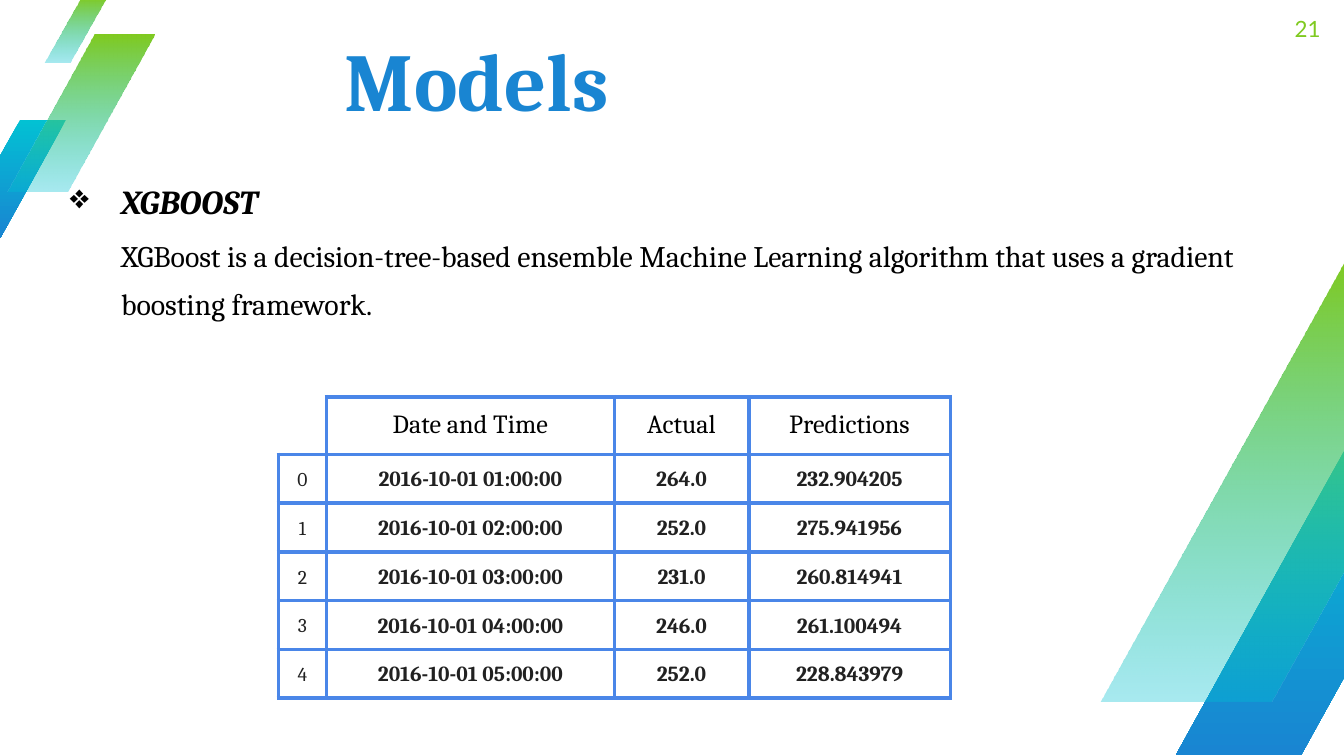
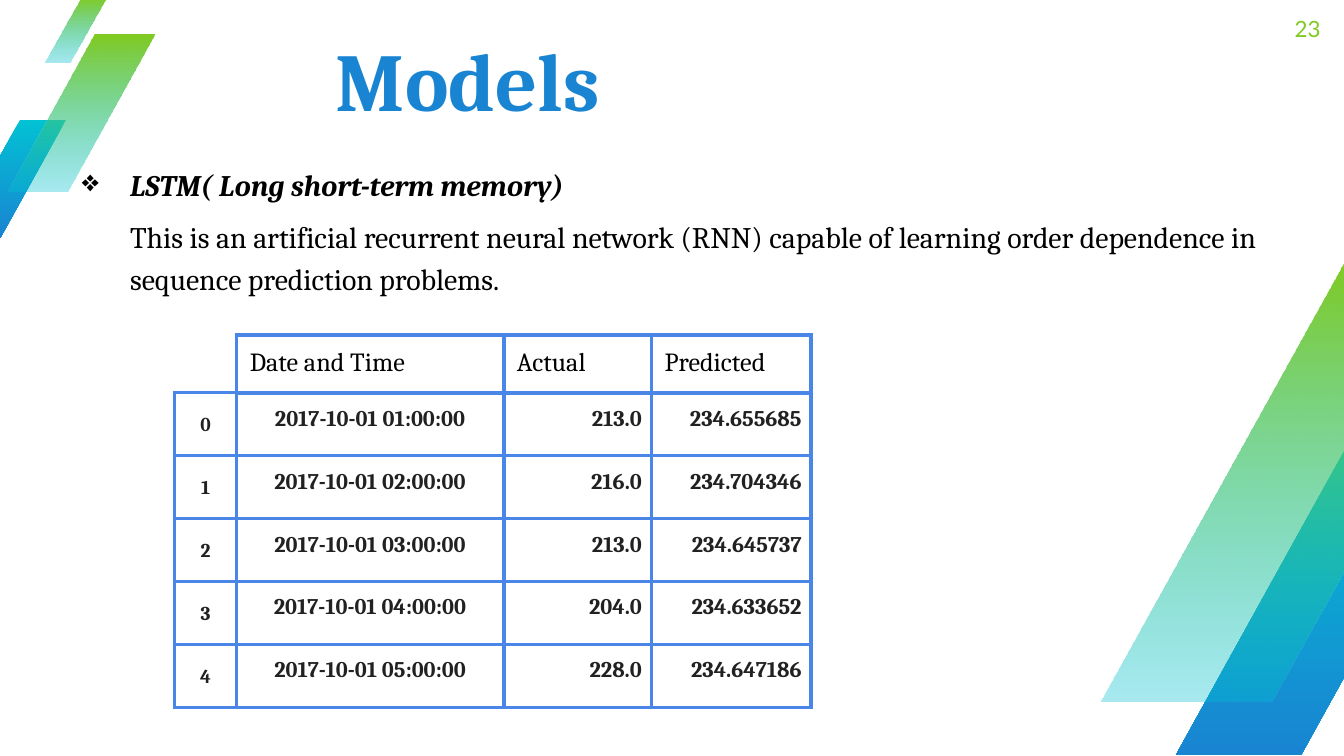
from lxml import etree
from pptx import Presentation
from pptx.dml.color import RGBColor
from pptx.enum.shapes import MSO_SHAPE
from pptx.enum.text import MSO_ANCHOR, PP_ALIGN
from pptx.oxml.ns import qn
from pptx.util import Cm, Pt

LEFT, CENTER, RIGHT = PP_ALIGN.LEFT, PP_ALIGN.CENTER, PP_ALIGN.RIGHT
TOP, MIDDLE = MSO_ANCHOR.TOP, MSO_ANCHOR.MIDDLE
PARALLELOGRAM = MSO_SHAPE.PARALLELOGRAM

TEAL = RGBColor(0x02, 0xC1, 0xD3)
BLUE = RGBColor(0x19, 0x85, 0xD2)
GREEN = RGBColor(0x7F, 0xCA, 0x20)
GRID_BLUE = RGBColor(0x4A, 0x86, 0xE8)
INK = RGBColor(0x21, 0x21, 0x21)
BLACK = RGBColor(0, 0, 0)
WHITE = RGBColor(0xFF, 0xFF, 0xFF)

SERIF, SANS = "Cambria", "Lato"

SLIDES = [
    {
        "title": "Models", "number": "21",
        "body_box": (1.02, 3.3, 24.21, 3.25), "hanging": 0.97,
        "heading": "XGBOOST", "heading_size": 18,
        "description": "XGBoost is a decision-tree-based ensemble Machine Learning "
                       "algorithm that uses a gradient boosting framework.",
        "closing_space": 19,
        "table": {
            "corner": (5.26, 8.59), "widths": (0.91, 5.44, 2.54, 3.81), "row_height": 0.79,
            "header": ("Date and Time", "Actual", "Predictions"), "header_align": CENTER,
            "number_align": CENTER, "size": 11.5, "bold_index": False,
            "rows": [
                ("2016-10-01 01:00:00", "264.0", "232.904205"),
                ("2016-10-01 02:00:00", "252.0", "275.941956"),
                ("2016-10-01 03:00:00", "231.0", "260.814941"),
                ("2016-10-01 04:00:00", "246.0", "261.100494"),
                ("2016-10-01 05:00:00", "252.0", "228.843979"),
            ],
        },
    },
    {
        "title": "Models ", "number": "23",
        "body_box": (1.19, 3.05, 23.9, 3.28), "hanging": 0.91,
        "heading": "LSTM( Long short-term memory)", "heading_size": 16,
        "description": "This is an artificial recurrent neural network (RNN) capable of "
                       "learning order dependence in sequence prediction problems.",
        "closing_space": None,
        "table": {
            "corner": (3.3, 7.42), "widths": (1.17, 5.05, 2.79, 3.02), "row_height": 1.19,
            "header": ("Date and Time", "Actual", "Predicted"), "header_align": LEFT,
            "number_align": RIGHT, "size": 12, "bold_index": True,
            "rows": [
                ("2017-10-01 01:00:00", "213.0", "234.655685"),
                ("2017-10-01 02:00:00", "216.0", "234.704346"),
                ("2017-10-01 03:00:00", "213.0", "234.645737"),
                ("2017-10-01 04:00:00", "204.0", "234.633652"),
                ("2017-10-01 05:00:00", "228.0", "234.647186"),
            ],
        },
    },
]

# Gradient start, gradient end, end opacity in percent
SOLID_BLUE = (TEAL, BLUE, 100)
FADING_GREEN = (GREEN, TEAL, 34)
BANDS = [
    ((-0.86, 2.26, 2.11, 2.24), SOLID_BLUE),
    ((0.15, 0.66, 2.77, 2.97), FADING_GREEN),
    ((0.84, -0.05, 1.17, 1.24), FADING_GREEN),
    ((22.22, 8.13, 5.77, 6.15), SOLID_BLUE),
    ((20.8, 4.88, 7.87, 8.38), FADING_GREEN),
]
BAND_SLANT = 0.59
TITLE_BOX = (3.3, 0.71, 11.43, 1.78)
NUMBER_BOX = (23.77, 0, 1.19, 1.09)
HEADER_HEIGHT = 1.09
BODY_INDENT = 1.27
LINE_SPACING = 1.15


def lengths(values):
    return [Cm(value) for value in values]


def add_run(paragraph, text, size, color, name=SERIF, **formats):
    run = paragraph.add_run()
    run.text = text
    run.font.color.rgb = color
    for attribute, value in {"size": Pt(size), "name": name, **formats}.items():
        setattr(run.font, attribute, value)


def set_margins(holder, margin):
    for side in ("left", "top", "right", "bottom"):
        setattr(holder, f"margin_{side}", Cm(margin))


def add_text_frame(slide, box, anchor):
    frame = slide.shapes.add_textbox(*lengths(box)).text_frame
    frame.word_wrap = True
    frame.vertical_anchor = anchor
    set_margins(frame, 0)
    return frame


def add_bands(slide):
    for box, (start, end, opacity) in BANDS:
        shape = slide.shapes.add_shape(PARALLELOGRAM, *lengths(box))
        shape.adjustments[0] = BAND_SLANT
        shape.shadow.inherit = False
        shape.line.fill.background()
        shape.fill.gradient()
        shape.fill.gradient_angle = 270
        for stop, color in zip(shape.fill.gradient_stops, (start, end)):
            stop.color.rgb = color
        if opacity < 100:
            last_color = list(shape._element.spPr.iter(qn("a:srgbClr")))[-1]
            etree.SubElement(last_color, qn("a:alpha"), val=str(opacity * 1000))


def add_title_and_number(slide, title, number):
    paragraph = add_text_frame(slide, TITLE_BOX, MIDDLE).paragraphs[0]
    paragraph.alignment = CENTER
    paragraph.line_spacing = 0.9
    add_run(paragraph, title, 44, BLUE, bold=True)
    paragraph = add_text_frame(slide, NUMBER_BOX, MIDDLE).paragraphs[0]
    paragraph.alignment = RIGHT
    add_run(paragraph, number, 12, GREEN, SANS)


def add_body(slide, content):
    frame = add_text_frame(slide, content["body_box"], TOP)
    heading, description = frame.paragraphs[0], frame.add_paragraph()
    for paragraph, hanging in ((heading, content["hanging"]), (description, 0)):
        paragraph.line_spacing = LINE_SPACING
        paragraph.space_before = Pt(6)
        properties = paragraph._p.get_or_add_pPr()
        properties.set("marL", str(Cm(BODY_INDENT)))
        properties.set("indent", str(-Cm(hanging)))
    properties = heading._p.get_or_add_pPr()
    bullet_color = etree.SubElement(properties, qn("a:buClr"))
    etree.SubElement(bullet_color, qn("a:srgbClr"), val=str(BLACK))
    etree.SubElement(properties, qn("a:buChar"), char="❖")

    add_run(heading, content["heading"], content["heading_size"], BLACK, bold=True, italic=True)
    add_run(description, content["description"], 16, BLACK)
    if content["closing_space"]:
        add_run(description, " ", content["closing_space"], BLACK, SANS)


def add_grid(slide, left, top, widths, row_count, row_height):
    frame = slide.shapes.add_table(
        row_count, len(widths), *lengths((left, top, sum(widths), row_count * row_height)))
    table = frame.table
    table.first_row = table.horz_banding = False
    for column, width in zip(table.columns, widths):
        column.width = Cm(width)
    for row in table.rows:
        row.height = Cm(row_height)
    return table


def fill_cell(cell, text, align, margin, size, color, bold=False, anchor=TOP, spacing=None):
    set_margins(cell, margin)
    cell.vertical_anchor = anchor
    properties = cell._tc.get_or_add_tcPr()
    for side in ("lnL", "lnR", "lnT", "lnB"):
        line = etree.SubElement(properties, qn(f"a:{side}"), w=str(Pt(2.25)))
        line_fill = etree.SubElement(line, qn("a:solidFill"))
        etree.SubElement(line_fill, qn("a:srgbClr"), val=str(GRID_BLUE))
    cell.fill.solid()
    cell.fill.fore_color.rgb = WHITE
    paragraph = cell.text_frame.paragraphs[0]
    paragraph.alignment = align
    paragraph.line_spacing = spacing
    add_run(paragraph, text, size, color, bold=bold)


def add_results(slide, data):
    """Add the indexed value table and the header table that sits on its value columns."""
    left, top = data["corner"]
    widths, rows = data["widths"], data["rows"]
    values = add_grid(slide, left, top, widths, len(rows), data["row_height"])
    aligns = (CENTER, data["number_align"], data["number_align"])
    for index, row in enumerate(rows):
        fill_cell(values.cell(index, 0), str(index), CENTER, 0.18, 10.5, INK,
                  data["bold_index"], MIDDLE, LINE_SPACING)
        for column, (text, align) in enumerate(zip(row, aligns), start=1):
            fill_cell(values.cell(index, column), text, align, 0.18, data["size"], INK,
                      True, TOP, LINE_SPACING)

    header = add_grid(slide, left + widths[0], top - HEADER_HEIGHT, widths[1:], 1, HEADER_HEIGHT)
    for column, text in enumerate(data["header"]):
        fill_cell(header.cell(0, column), text, data["header_align"], 0.25, 14, BLACK)


def main():
    presentation = Presentation()
    presentation.slide_width, presentation.slide_height = Cm(25.4), Cm(14.29)
    for content in SLIDES:
        slide = presentation.slides.add_slide(presentation.slide_layouts[6])
        add_bands(slide)
        add_title_and_number(slide, content["title"], content["number"])
        add_body(slide, content)
        add_results(slide, content["table"])
    presentation.save("out.pptx")


if __name__ == "__main__":
    main()
